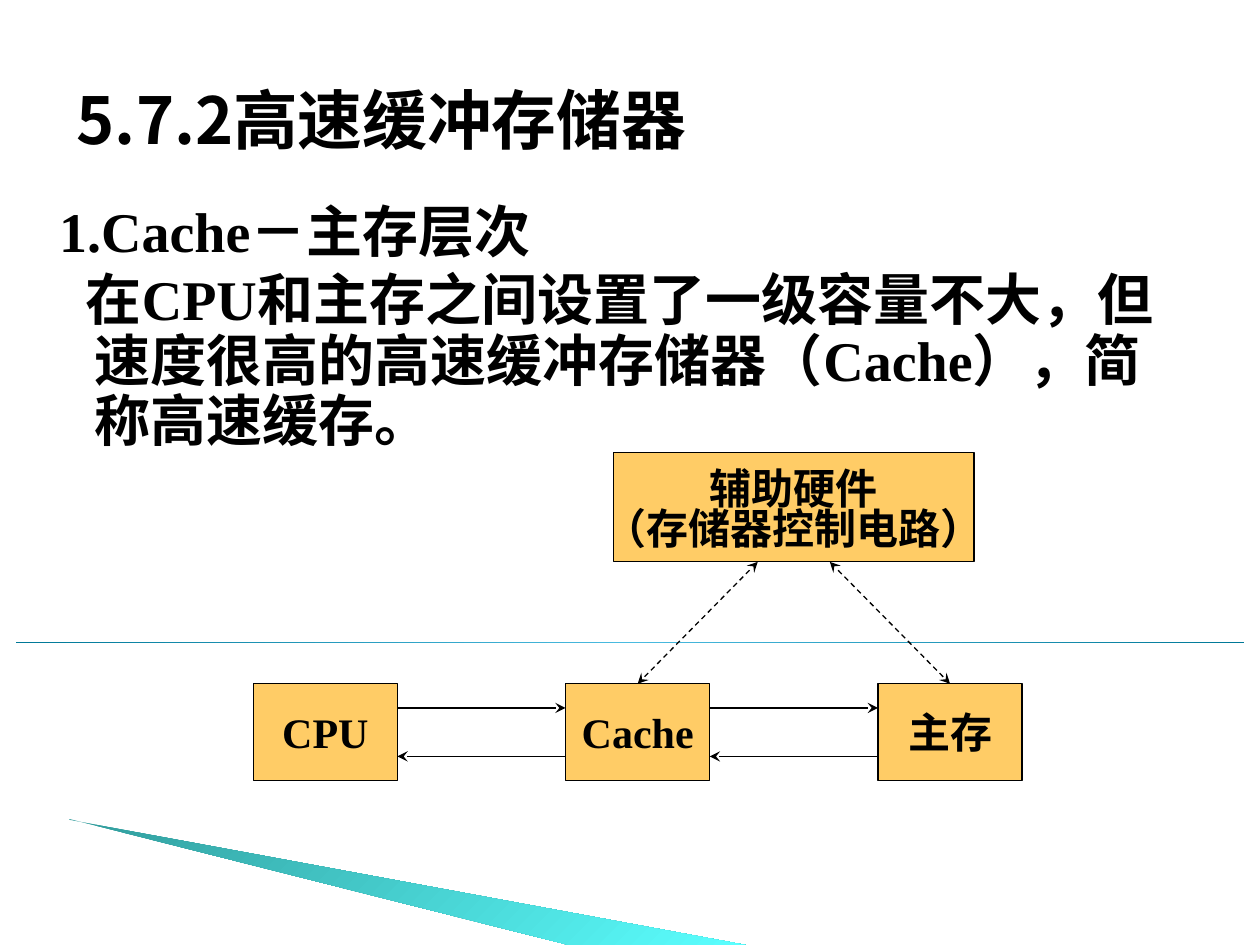
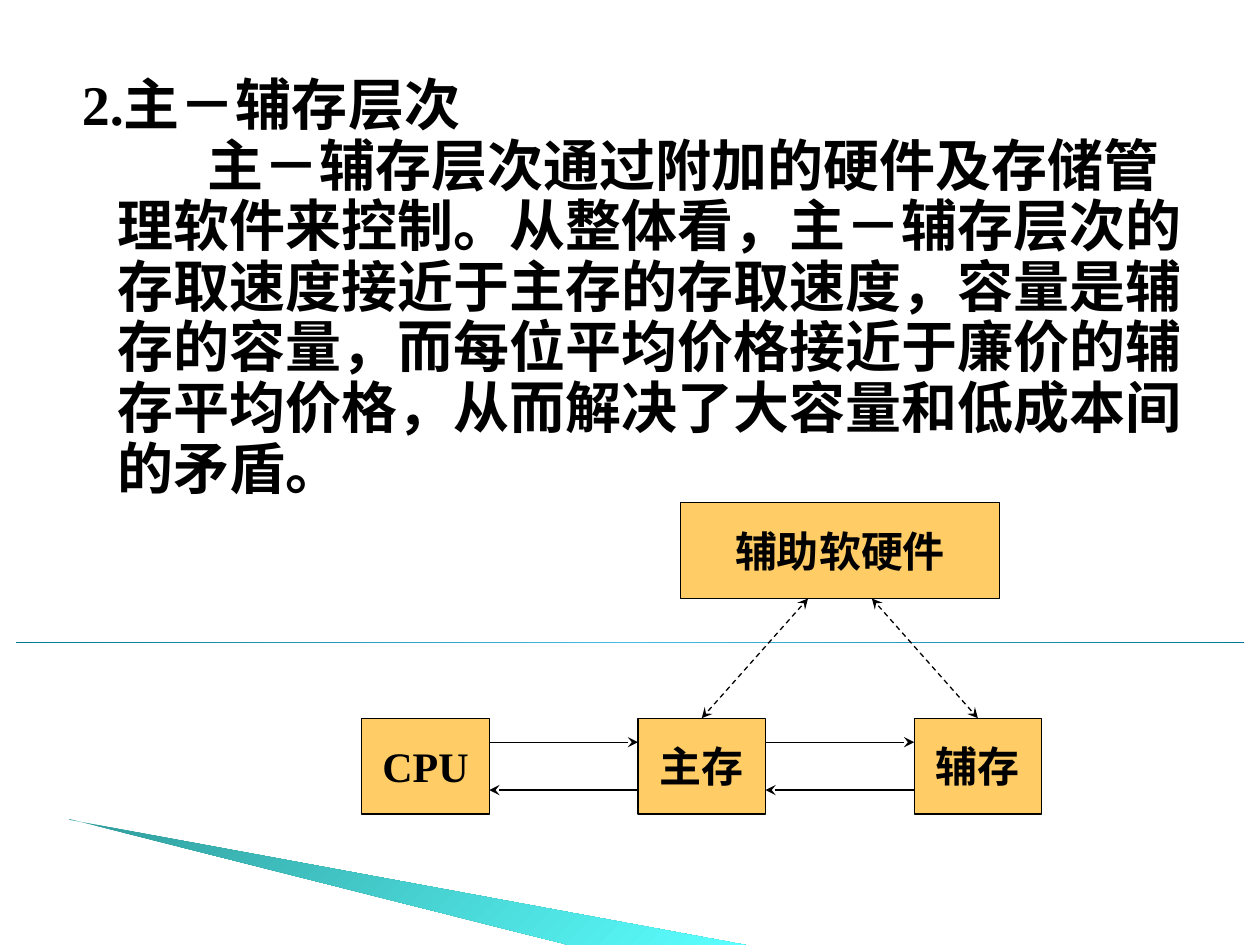
from dataclasses import dataclass

from lxml.etree import SubElement
from pptx import Presentation
from pptx.dml.color import RGBColor
from pptx.enum.dml import MSO_LINE
from pptx.enum.shapes import MSO_CONNECTOR as Connector, MSO_SHAPE as Shape
from pptx.enum.text import MSO_ANCHOR as Anchor, MSO_AUTO_SIZE as AutoSize, PP_ALIGN as Align
from pptx.oxml.ns import qn
from pptx.util import Pt


@dataclass(frozen=True)
class Theme:
    ink: RGBColor = RGBColor(0, 0, 0)
    box: RGBColor = RGBColor(0xFF, 0xCC, 0x66)
    rule: tuple = ((0, "007897"), (50, "4ABBE0"), (100, "007897"))
    swoosh: tuple = ((0, "319C9C"), (100, "5BFFFF"))
    latin: str = "Times New Roman"
    chinese: str = "Noto Sans CJK SC"
    title_size: float = 37
    body_size: float = 32
    body_line: float = 34.6
    label_size: float = 24
    label_line: float = 23
    stroke: float = 0.75


theme = Theme()


def write(paragraph, text, size, latin=theme.latin):
    """Add a bold run with its Latin and Chinese typefaces."""
    run = paragraph.add_run()
    run.text = text
    run.font.size = Pt(size)
    run.font.bold = True
    run.font.color.rgb = theme.ink
    run.font.name = latin
    SubElement(run._r.get_or_add_rPr(), qn("a:ea"), typeface=theme.chinese)


def add_arrow(slide, start, end, both_ways=False):
    arrow = slide.shapes.add_connector(
        Connector.STRAIGHT, *(Pt(value) for value in (*start, *end)))
    arrow.line.color.rgb = theme.ink
    arrow.line.width = Pt(theme.stroke)
    if both_ways:
        arrow.line.dash_style = MSO_LINE.DASH
    outline = arrow.element.xpath(".//a:ln")[0]
    for tip in ("a:headEnd", "a:tailEnd") if both_ways else ("a:tailEnd",):
        SubElement(outline, qn(tip), type="stealth")
    SubElement(arrow.element.spPr, qn("a:effectLst"))
    return arrow


# Paragraphs are (text, first-line indent, space before).
# Boxes are (left, top, width, height); units repeat at the given step.
pages = [
    dict(
        title="5.7.2高速缓冲存储器",
        body=(18, 112.7, 669.6, 361),
        paragraphs=[
            ("1.Cache－主存层次", -20.2, 0),
            ("在CPU和主存之间设置了一级容量不大，但速度很高的高速缓冲存储器（Cache），"
             "简称高速缓存。", -5, 4),
        ],
        controller=(350.6, 258.5, 206, 62.6),
        controller_lines=["辅助硬件", "（存储器控制电路）"],
        units=["CPU", "Cache", "主存"],
        first_unit=(144.7, 390.7, 82.4, 55.4),
        step=178.5,
    ),
    dict(
        title=None,
        body=(31, 40, 657.4, 408),
        paragraphs=[
            ("2.主－辅存层次", -20.2, 0),
            ("主－辅存层次通过附加的硬件及存储管理软件来控制。从整体看，"
             "主－辅存层次的存取速度接近于主存的存取速度，容量是辅存的容量，"
             "而每位平均价格接近于廉价的辅存平均价格，从而解决了大容量和低成本间的矛盾。",
             51.4, 0),
        ],
        controller=(388.8, 287.2, 182.4, 54.8),
        controller_lines=["辅助软硬件"],
        units=["CPU", "主存", "辅存"],
        first_unit=(206.8, 410.4, 72.8, 54.8),
        step=157.8,
    ),
]

deck = Presentation()
deck.slide_width, deck.slide_height = Pt(720), Pt(540)
master = deck.slide_master
slides = [deck.slides.add_slide(deck.slide_layouts[1]) for _ in pages]

# Shared decoration: drawn once, then handed to the slide master
rule = slides[0].shapes.add_shape(Shape.RECTANGLE, Pt(9), Pt(366.8), Pt(702), Pt(0.6))
outline = slides[0].shapes.build_freeform(Pt(39.6), Pt(468.5), scale=1.0)
outline.add_line_segments(
    [(Pt(x), Pt(y)) for x, y in ((426, 540), (325, 540), (39.6, 468))], close=True)
swoosh = outline.convert_to_shape()

decorations = [(rule, theme.rule, 0), (swoosh, theme.swoosh, 45)]
for number, (decoration, stops, angle) in enumerate(decorations, 20):
    decoration.shadow.inherit = False
    decoration.line.fill.background()
    decoration.fill.gradient()
    decoration.fill.gradient_angle = (360 - angle) % 360
    stop_list = decoration.element.xpath(".//a:gsLst")[0]
    stop_list.clear()
    for position, color in stops:
        stop = SubElement(stop_list, qn("a:gs"), pos=str(position * 1000))
        SubElement(stop, qn("a:srgbClr"), val=color)
    decoration.element.xpath(".//p:cNvPr")[0].set("id", str(number))
    master.shapes.element.append(decoration.element)

for slide, page in zip(slides, pages):
    # Title
    title = slide.shapes.title
    if page["title"]:
        title.left, title.top, title.width, title.height = Pt(36.7), Pt(0), Pt(648), Pt(93.5)
        title.text_frame.vertical_anchor = Anchor.BOTTOM
        title.text_frame.auto_size = AutoSize.NONE
        heading = title.text_frame.paragraphs[0]
        heading.alignment = Align.LEFT
        write(heading, page["title"], theme.title_size, theme.chinese)
    else:
        title.element.getparent().remove(title.element)

    # Explanation
    body = slide.placeholders[1]
    body.left, body.top, body.width, body.height = (Pt(value) for value in page["body"])
    body.text_frame.auto_size = AutoSize.NONE
    for index, (text, indent, space) in enumerate(page["paragraphs"]):
        paragraph = (body.text_frame.add_paragraph() if index
                     else body.text_frame.paragraphs[0])
        paragraph.line_spacing = Pt(theme.body_line)
        paragraph.space_before = Pt(space)
        properties = paragraph._p.get_or_add_pPr()
        properties.set("marL", str(Pt(28.8)))
        properties.set("indent", str(Pt(indent)))
        SubElement(properties, qn("a:buNone"))
        write(paragraph, text, theme.body_size)

    # Controller above a row of units
    left, top, width, height = page["first_unit"]
    lefts = [left + i * page["step"] for i in range(len(page["units"]))]
    blocks = [(page["controller"], page["controller_lines"])]
    blocks += [((x, top, width, height), [name]) for x, name in zip(lefts, page["units"])]
    boxes = []
    for place, lines in blocks:
        box = slide.shapes.add_shape(Shape.RECTANGLE, *(Pt(value) for value in place))
        box.shadow.inherit = False
        box.fill.solid()
        box.fill.fore_color.rgb = theme.box
        box.line.color.rgb = theme.ink
        box.line.width = Pt(theme.stroke)
        frame = box.text_frame
        frame.word_wrap = False
        frame.vertical_anchor = Anchor.MIDDLE
        for index, line in enumerate(lines):
            label = frame.add_paragraph() if index else frame.paragraphs[0]
            label.alignment = Align.CENTER
            if len(lines) > 1:
                frame.margin_top = Pt(10)
                label.line_spacing = Pt(theme.label_line)
            write(label, line, theme.label_size)
        boxes.append(box)

    # Data travels both ways between neighbouring units
    for near, far in zip(lefts, lefts[1:]):
        upper, lower = top + height / 4, top + height * 3 / 4
        add_arrow(slide, (near + width, upper), (far, upper))
        add_arrow(slide, (far, lower), (near + width, lower))

    # The controller steers the last two units
    control_left, control_top, control_width, control_height = page["controller"]
    for unit, x, share in zip(boxes[-2:], lefts[-2:], (0.4, 0.6)):
        control = add_arrow(
            slide, (x + width / 2, top),
            (control_left + share * control_width, control_top + control_height),
            both_ways=True)
        control.begin_connect(unit, 0)

deck.save("out.pptx")
